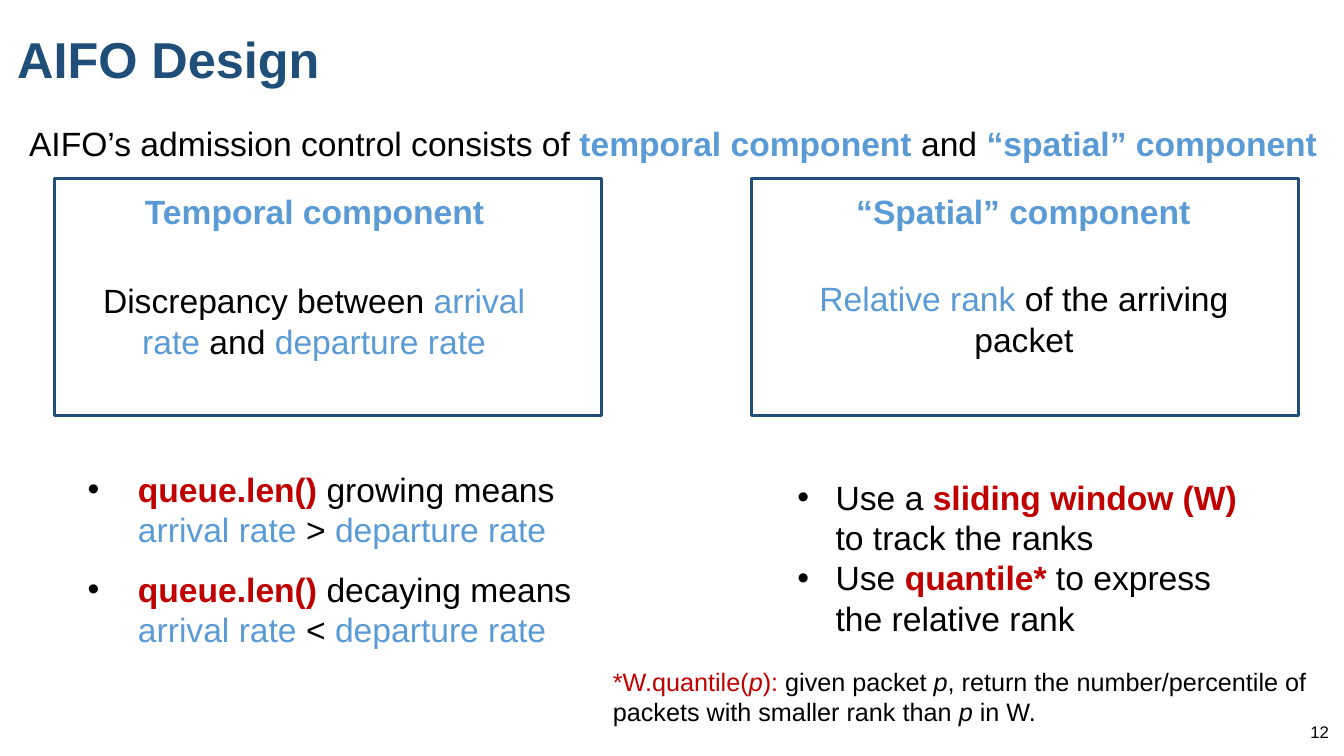
from dataclasses import dataclass, field

from lxml import etree
from pptx import Presentation
from pptx import util as u
from pptx.dml.color import RGBColor
from pptx.enum import shapes, text
from pptx.oxml.ns import qn


@dataclass(frozen=True)
class Theme:
    font: str = "Arial"
    black: str = "000000"
    navy: str = "1F4E79"
    blue: str = "5B9BD5"
    red: str = "C00000"
    title: int = 36
    body: int = 24
    note: int = 18
    number: int = 12


THEME = Theme()
LEFT, CENTER, RIGHT = (text.PP_ALIGN.LEFT, text.PP_ALIGN.CENTER,
                       text.PP_ALIGN.RIGHT)


@dataclass(frozen=True)
class Span:
    words: str
    color: str = THEME.black
    bold: bool = False
    italic: bool = False


@dataclass(frozen=True)
class TextBlock:
    area: tuple[float, float, float, float]
    paras: list[list[Span]]
    size: int = THEME.body
    align: text.PP_ALIGN = LEFT
    anchor: text.MSO_ANCHOR = text.MSO_ANCHOR.TOP
    wrap: bool = True
    bullet_indent: float = 0
    gap: float = 0


@dataclass(frozen=True)
class Component:
    frame_left: float
    blocks: list[TextBlock] = field(default_factory=list)


def place(shape, area: tuple[float, float, float, float]) -> None:
    shape.left, shape.top, shape.width, shape.height = map(u.Inches, area)


def add_bullet(para, indent: float) -> None:
    props = para._p.get_or_add_pPr()
    props.set("marL", str(u.Inches(indent)))
    props.set("indent", str(-u.Inches(indent)))
    color = etree.SubElement(props, qn("a:buClr"))
    etree.SubElement(color, qn("a:srgbClr")).set("val", THEME.black)
    etree.SubElement(props, qn("a:buFont")).set("typeface", THEME.font)
    etree.SubElement(props, qn("a:buChar")).set("char", "•")


def add_span(para, words: str, *, size: int, color: str, bold: bool = False,
             italic: bool = False) -> None:
    run = para.add_run()
    run.text = words
    run.font.name = THEME.font
    run.font.size = u.Pt(size)
    run.font.color.rgb = RGBColor.from_string(color)
    run.font.bold = bold
    run.font.italic = italic


def add_text(page, block: TextBlock) -> None:
    box = page.shapes.add_textbox(*map(u.Inches, block.area))
    frame = box.text_frame
    frame.word_wrap = block.wrap
    frame.vertical_anchor = block.anchor
    for index, spans in enumerate(block.paras):
        para = frame.add_paragraph() if index else frame.paragraphs[0]
        para.alignment = block.align
        if index and block.gap:
            para.space_before = u.Pt(block.gap)
        if block.bullet_indent:
            add_bullet(para, block.bullet_indent)
        for span in spans:
            add_span(para, span.words, size=block.size, color=span.color,
                     bold=span.bold, italic=span.italic)


def add_frame(page, left: float) -> None:
    frame = page.shapes.add_shape(shapes.MSO_SHAPE.RECTANGLE, 0, 0, 0, 0)
    place(frame, (left, 1.77, 5.43, 2.35))
    frame.shadow.inherit = False
    frame.fill.background()
    frame.line.color.rgb = RGBColor.from_string(THEME.navy)
    frame.line.width = u.Pt(2)


def add_title(page, words: str) -> None:
    title = page.shapes.title
    place(title, (0.07, -0.11, 12.28, 1.45))
    frame = title.text_frame
    frame.auto_size = text.MSO_AUTO_SIZE.NONE
    frame.vertical_anchor = text.MSO_ANCHOR.MIDDLE
    para = frame.paragraphs[0]
    para.alignment = LEFT
    para.line_spacing = 0.9
    add_span(para, words, size=THEME.title, color=THEME.navy, bold=True)


def blue(words: str, bold: bool = False) -> Span:
    return Span(words, THEME.blue, bold)


def red(words: str, bold: bool = True, italic: bool = False) -> Span:
    return Span(words, THEME.red, bold, italic)


def queue_rule(trend: str, sign: str) -> list[Span]:
    return [red("queue.len() "), Span(f"{trend} means "),
            blue("arrival rate "), Span(f"{sign} "), blue("departure rate")]


PACKET = Span("p", italic=True)

COMPONENTS = [
    Component(0.54, [
        TextBlock((1.32, 1.84, 3.6, 0.5),
                  [[blue("Temporal component", True)]],
                  align=CENTER, wrap=False),
        TextBlock((0.77, 2.73, 4.69, 0.91),
                  [[Span("Discrepancy between "), blue("arrival rate "),
                    Span("and "), blue("departure rate")]], align=CENTER),
        TextBlock((0.77, 4.6, 5.21, 1.92),
                  [queue_rule("growing", ">"), queue_rule("decaying", "<")],
                  bullet_indent=0.5, gap=14),
    ]),
    Component(7.45, [
        TextBlock((8.38, 1.84, 3.54, 0.5),
                  [[blue("“Spatial” component", True)]],
                  align=CENTER, wrap=False),
        TextBlock((7.81, 2.71, 4.69, 0.91),
                  [[blue("Relative rank "), Span("of the arriving packet")]],
                  align=CENTER),
        TextBlock((7.81, 4.68, 4.69, 1.72),
                  [[Span("Use a "), red("sliding window (W) "),
                    Span("to track the ranks")],
                   [Span("Use "), red("quantile*"),
                    Span(" to express the relative rank")]],
                  bullet_indent=0.38),
    ]),
]

INTRO = TextBlock((0.19, 1.17, 13.2, 0.5), [[
    Span("AIFO’s admission control consists of "),
    blue("temporal component ", True), Span("and "),
    blue("“spatial” component", True)]])

FOOTNOTE = TextBlock((5.98, 6.56, 7.21, 0.71), [[
    red("*W.quantile(", False), red("p", False, True), red("): ", False),
    Span("given packet "), PACKET,
    Span(", return the number/percentile of packets with smaller rank than "),
    PACKET, Span(" in W.")]], size=THEME.note)

PAGE_NUMBER = TextBlock((10.28, 7.06, 3, 0.4), [[Span("12")]],
                        size=THEME.number, align=RIGHT,
                        anchor=text.MSO_ANCHOR.MIDDLE)


def main() -> None:
    deck = Presentation()
    deck.slide_width, deck.slide_height = u.Inches(13.33), u.Inches(7.5)
    page = deck.slides.add_slide(deck.slide_layouts.get_by_name("Title Only"))

    # Heading and introduction
    add_title(page, "AIFO Design")
    add_text(page, INTRO)

    # The two components, each with its frame and points
    for component in COMPONENTS:
        add_frame(page, component.frame_left)
        for block in component.blocks:
            add_text(page, block)

    # Footnote and page number
    add_text(page, FOOTNOTE)
    add_text(page, PAGE_NUMBER)
    deck.save("out.pptx")


if __name__ == "__main__":
    main()
